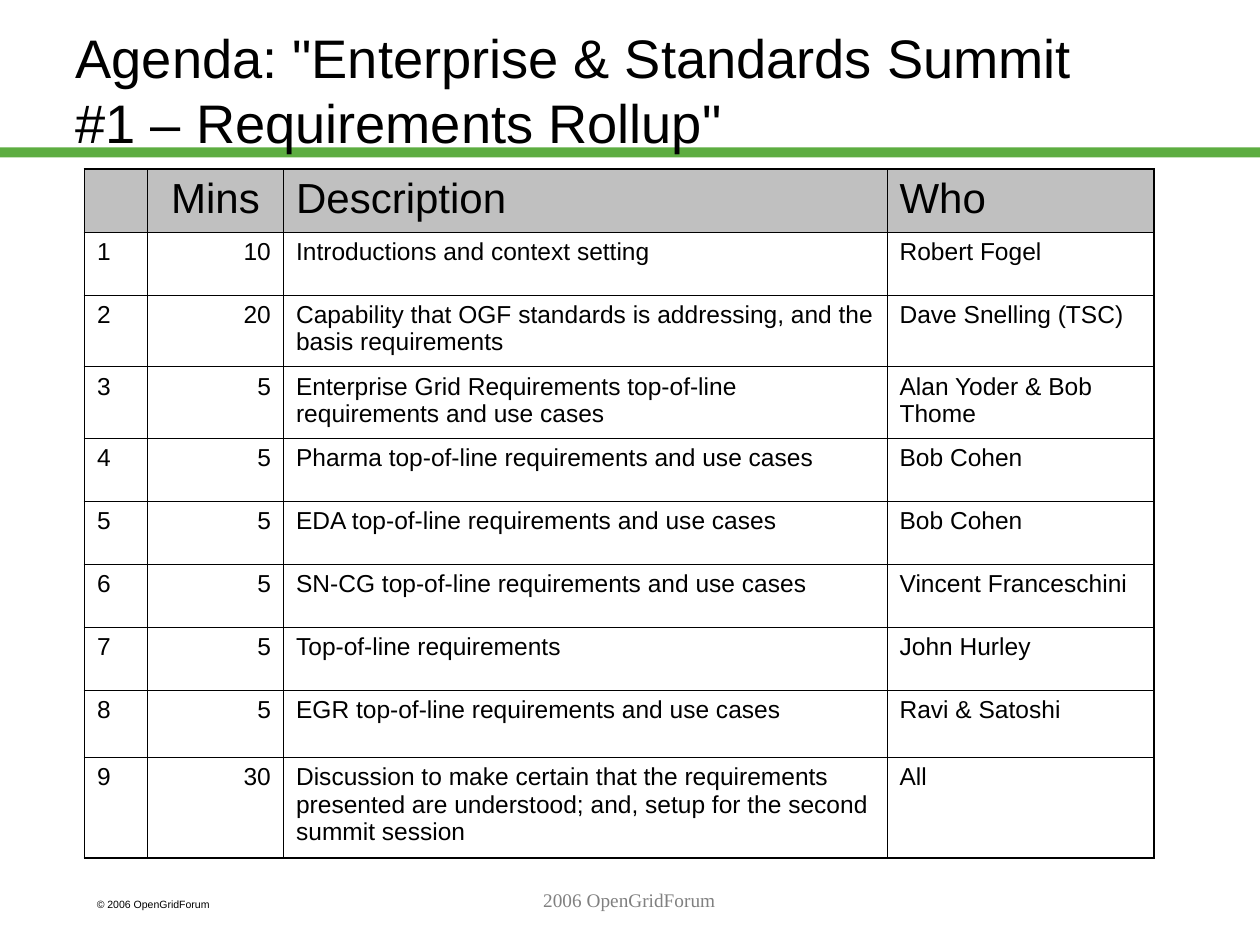
from lxml.etree import SubElement
from pptx import Presentation
from pptx.dml.color import RGBColor
from pptx.enum.shapes import MSO_SHAPE
from pptx.enum.text import MSO_ANCHOR, MSO_AUTO_SIZE, PP_ALIGN
from pptx.oxml.ns import qn
from pptx.util import Inches, Pt

BLACK, GREEN, SILVER, GRAY = "000000", "5DAD41", "C0C0C0", "808080"
THIN, THICK = 0.45, 1.08

TITLE = 'Agenda: "Enterprise & Standards Summit #1 – Requirements Rollup"'
HEADER = ("", "Mins", "Description", "Who")
AGENDA = [
    (10, "Introductions and context setting", "Robert Fogel"),
    (20, "Capability that OGF standards is addressing, and the basis requirements",
     "Dave Snelling (TSC)"),
    (5, "Enterprise Grid Requirements top-of-line requirements and use cases",
     "Alan Yoder & Bob Thome"),
    (5, "Pharma top-of-line requirements and use cases", "Bob Cohen"),
    (5, "EDA top-of-line requirements and use cases", "Bob Cohen"),
    (5, "SN-CG top-of-line requirements and use cases", "Vincent Franceschini"),
    (5, "Top-of-line requirements", "John Hurley"),
    (5, "EGR top-of-line requirements and use cases", "Ravi & Satoshi"),
    (30, "Discussion to make certain that the requirements presented are understood; "
         "and, setup for the second summit session", "All"),
]
COLUMN_WIDTHS = (0.5, 1.08, 4.79, 2.12)
ROW_HEIGHTS = (0.5, 0.5, 0.57, 0.57, 0.5, 0.5, 0.5, 0.5, 0.53, 0.8)


def color(value):
    return RGBColor.from_string(value)


def write(text_frame, text, size, align=PP_ALIGN.LEFT, font_name="Arial", font_color=BLACK):
    """Put one formatted paragraph into a text frame."""
    text_frame.word_wrap = True
    paragraph = text_frame.paragraphs[0]
    paragraph.text = text
    paragraph.alignment = align
    font_format = {"name": font_name, "size": Pt(size), "bold": False}
    for name, value in font_format.items():
        setattr(paragraph.font, name, value)
    paragraph.font.color.rgb = color(font_color)


def add_bar(slide):
    bar = slide.shapes.add_shape(MSO_SHAPE.RECTANGLE, 0, Inches(1.17), Inches(10), Inches(0.08))
    bar.shadow.inherit = False
    bar.fill.solid()
    bar.fill.fore_color.rgb = color(GREEN)
    bar.line.fill.background()
    # The bar lies behind the title
    slide.shapes.title.element.addprevious(bar.element)


def set_title(slide):
    title = slide.shapes.title
    place = {"left": 0.5, "top": 0.17, "width": 8.5, "height": 1.08}
    for name, value in place.items():
        setattr(title, name, Inches(value))
    title.text_frame.auto_size = MSO_AUTO_SIZE.NONE
    title.text_frame.vertical_anchor = MSO_ANCHOR.MIDDLE
    write(title.text_frame, TITLE, 31)


def add_text(slide, left, top, width, height, text, size, **text_format):
    box = slide.shapes.add_textbox(Inches(left), Inches(top), Inches(width), Inches(height))
    write(box.text_frame, text, size, **text_format)


def set_borders(cell, widths):
    """Draw the cell edges, given as a dict of edge tag to width in points."""
    properties = cell._tc.get_or_add_tcPr()
    for index, (edge, width) in enumerate(widths.items()):
        line = SubElement(properties, qn(f"a:{edge}"), w=str(Pt(width)))
        fill = SubElement(line, qn("a:solidFill"))
        SubElement(fill, qn("a:srgbClr"), val=BLACK)
        properties.insert(index, line)  # edges come before the cell fill


def format_cell(cell, is_header):
    if is_header:
        cell.fill.solid()
        cell.fill.fore_color.rgb = color(SILVER)
    else:
        cell.fill.background()
    cell.vertical_anchor = MSO_ANCHOR.TOP


def add_agenda(slide):
    rows = [HEADER] + [(number, *item) for number, item in enumerate(AGENDA, 1)]
    last_row, last_column = len(rows) - 1, len(HEADER) - 1
    frame = slide.shapes.add_table(len(rows), len(HEADER), Inches(0.67), Inches(1.34),
                                   Inches(sum(COLUMN_WIDTHS)), Inches(sum(ROW_HEIGHTS)))
    table = frame.table
    table.horz_banding = False
    for column, width in zip(table.columns, COLUMN_WIDTHS):
        column.width = Inches(width)
    for row, height in zip(table.rows, ROW_HEIGHTS):
        row.height = Inches(height)

    for row_index, row in enumerate(rows):
        is_header = row_index == 0
        for column_index, value in enumerate(row):
            cell = table.cell(row_index, column_index)
            align = PP_ALIGN.LEFT
            if column_index == 1:
                align = PP_ALIGN.CENTER if is_header else PP_ALIGN.RIGHT
            format_cell(cell, is_header)
            write(cell.text_frame, str(value), 24 if is_header else 14, align)
            # Thick outer frame, thin inner grid
            outer = {"lnL": column_index == 0, "lnR": column_index == last_column,
                     "lnT": is_header, "lnB": row_index == last_row}
            set_borders(cell, {edge: THICK if is_outer else THIN
                               for edge, is_outer in outer.items()})


def main():
    presentation = Presentation()
    presentation.slide_width, presentation.slide_height = Inches(10), Inches(7.5)
    slide = presentation.slides.add_slide(presentation.slide_layouts[5])

    # Heading
    set_title(slide)
    add_bar(slide)

    # Agenda table
    add_agenda(slide)

    # Footer
    add_text(slide, 0.67, 7.08, 1.5, 0.2, "© 2006 OpenGridForum", 6)
    add_text(slide, 2.08, 7, 5.83, 0.5, "2006 OpenGridForum", 11, align=PP_ALIGN.CENTER,
             font_name="Times New Roman", font_color=GRAY)

    presentation.save("out.pptx")


if __name__ == "__main__":
    main()
